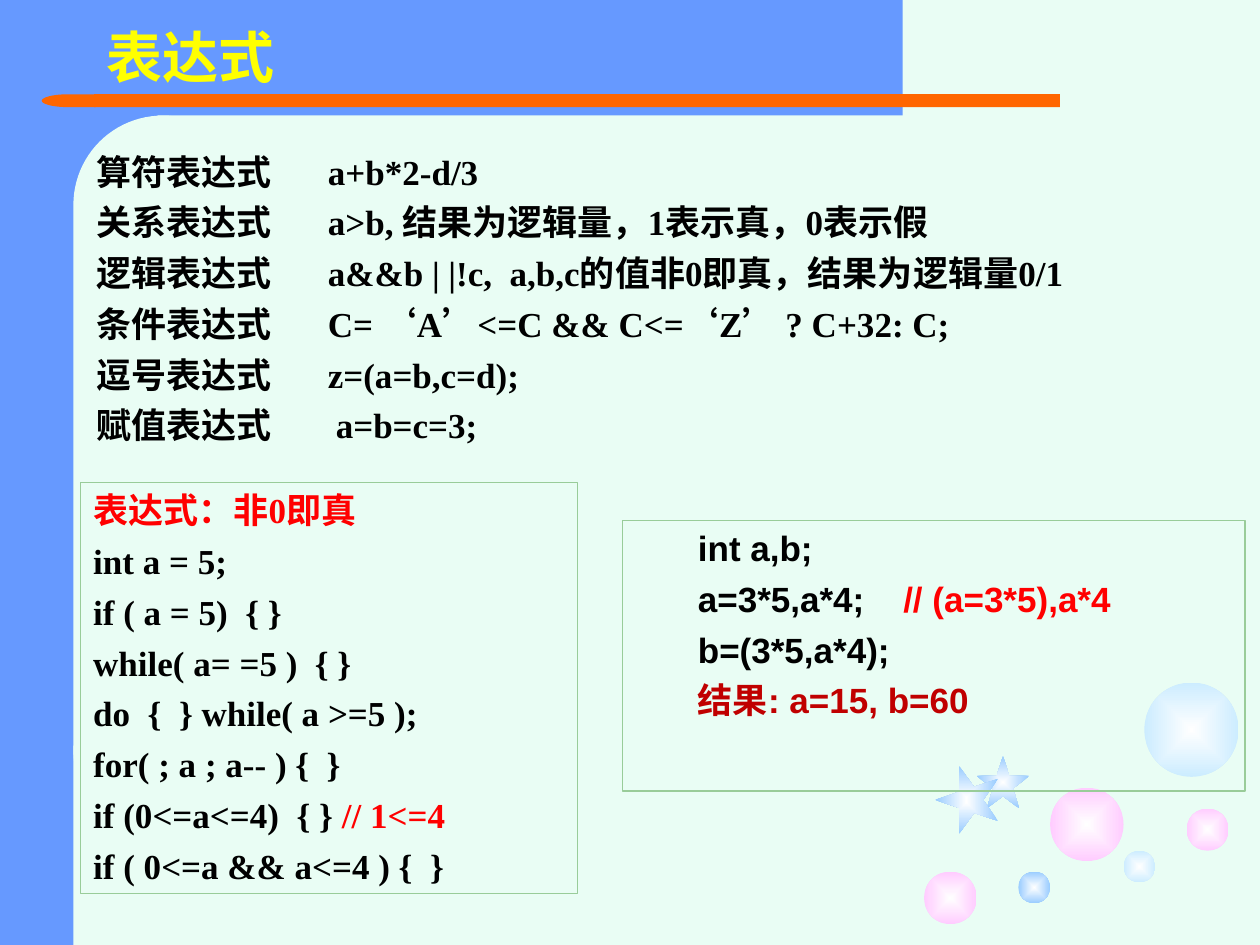
from dataclasses import dataclass

from lxml.etree import SubElement
from pptx import Presentation
from pptx.dml.color import RGBColor
from pptx.enum.shapes import MSO_SHAPE
from pptx.enum.text import MSO_ANCHOR, PP_ALIGN
from pptx.oxml.ns import qn
from pptx.util import Cm, Pt


@dataclass(frozen=True)
class Theme:
    mint: str = "E9FDF4"
    blue: str = "6699FF"
    orange: str = "FF6600"
    pink: str = "FFCCFF"
    pale: str = "CCECFF"
    sky: str = "99CCFF"
    white: str = "FFFFFF"
    frame: str = "99CC99"
    title: str = "FFFF00"
    ink: str = "000000"
    red: str = "FF0000"
    dark_red: str = "C00000"
    serif: str = "Times New Roman"
    sans: str = "Arial"
    title_size: int = 32
    body_size: int = 20
    paragraph_gap: int = 5
    frame_width: float = 0.75


def colour(value):
    return RGBColor.from_string(value)


class SlideBuilder:
    def __init__(self, page, theme):
        self.page = page
        self.theme = theme
        page.background.fill.solid()
        page.background.fill.fore_color.rgb = colour(theme.mint)

    def shape(self, kind, area, fill=None, rotation=0):
        shape = self.page.shapes.add_shape(kind, *map(Cm, area))
        shape.shadow.inherit = False
        shape.line.fill.background()
        shape.rotation = rotation
        if fill:
            shape.fill.solid()
            shape.fill.fore_color.rgb = colour(fill)
        else:
            shape.fill.background()
        return shape

    def glow(self, kind, area, edge, spread, rotation=0):
        shape = self.shape(kind, area, rotation=rotation)
        shape.fill.gradient()
        for stop, value in zip(shape.fill.gradient_stops, (self.theme.white, edge)):
            stop.color.rgb = colour(value)
        gradient = shape._element.spPr.find(qn("a:gradFill"))
        gradient.remove(gradient.find(qn("a:lin")))
        shading = SubElement(gradient, qn("a:path"), {"path": spread})
        SubElement(shading, qn("a:fillToRect"), dict.fromkeys("ltrb", "50000"))

    def text(self, area, lines, font, size, tab=None):
        box = self.page.shapes.add_textbox(*map(Cm, area))
        self.fill_text(box, lines, font, size, tab)

    def framed_text(self, area, lines, font, size, tab=None, inset=0.25):
        box = self.shape(MSO_SHAPE.RECTANGLE, area)
        box.line.color.rgb = colour(self.theme.frame)
        box.line.width = Pt(self.theme.frame_width)
        self.fill_text(box, lines, font, size, tab)
        box.text_frame.margin_left = Cm(inset)

    def fill_text(self, box, lines, font, size, tab):
        frame = box.text_frame
        frame.word_wrap = True
        frame.vertical_anchor = MSO_ANCHOR.TOP
        for index, spans in enumerate(lines):
            paragraph = frame.add_paragraph() if index else frame.paragraphs[0]
            paragraph.alignment = PP_ALIGN.LEFT
            if index:
                paragraph.space_before = Pt(self.theme.paragraph_gap)
            if tab:
                tabs = SubElement(paragraph._p.get_or_add_pPr(), qn("a:tabLst"))
                SubElement(tabs, qn("a:tab"), {"pos": str(Cm(tab)), "algn": "l"})
            for words, value in spans:
                span = paragraph.add_run()
                span.text = words
                span.font.name = font
                span.font.size = Pt(size)
                span.font.bold = True
                span.font.color.rgb = colour(value)


def draw_backdrop(builder):
    theme = builder.theme
    builder.shape(MSO_SHAPE.RECTANGLE, (0, 0, 3.18, 19.05), theme.blue)
    builder.shape(MSO_SHAPE.RECTANGLE, (1.27, 0, 16.93, 2.33), theme.blue)
    corner = builder.shape(MSO_SHAPE.ROUNDED_RECTANGLE, (1.48, 2.33, 3.6, 14.6), theme.mint)
    corner.adjustments[0] = 0.5
    builder.shape(MSO_SHAPE.RECTANGLE, (1.9, 1.9, 19.47, 0.26), theme.orange)
    builder.shape(MSO_SHAPE.FLOWCHART_DELAY, (0.84, 1.9, 1.09, 0.26), theme.orange, 180)
    builder.shape(MSO_SHAPE.RECTANGLE, (1.48, 15.03, 3.6, 4.02), theme.mint)

    bubbles = [
        (21.17, 15.88, 1.48, theme.pink),
        (18.63, 17.57, 1.06, theme.pink),
        (22.65, 17.15, 0.64, theme.pale),
        (23.92, 16.3, 0.85, theme.pink),
        (23.07, 13.76, 1.9, theme.pale),
        (20.53, 17.57, 0.64, theme.sky),
    ]
    for left, top, size, edge in bubbles:
        builder.glow(MSO_SHAPE.OVAL, (left, top, size, size), edge, "shape")
    stars = [((19.69, 15.24, 1.06, 1.06), 0), ((18.8, 15.49, 1.37, 1.27), 270)]
    for area, rotation in stars:
        builder.glow(MSO_SHAPE.STAR_5_POINT, area, theme.sky, "rect", rotation)


def draw_content(builder):
    theme = builder.theme
    truth_lines = [
        [("表达式：非0即真", theme.red)],
        [("int a = 5;", theme.ink)],
        [("if ( a = 5)  { }", theme.ink)],
        [("while( a= =5 )  { }", theme.ink)],
        [("do  {  } while( a >=5 );", theme.ink)],
        [("for( ; a ; a-- ) {  }", theme.ink)],
        [("if (0<=a<=4)  { } ", theme.ink), ("// 1<=4", theme.red)],
        [("if ( 0<=a && a<=4 ) {  }", theme.ink)],
    ]
    builder.framed_text((1.63, 9.73, 10.01, 8.28), truth_lines, theme.serif, theme.body_size)

    expressions = [
        ("算符表达式", "a+b*2-d/3"),
        ("关系表达式", "a>b, 结果为逻辑量，1表示真，0表示假"),
        ("逻辑表达式", "a&&b | |!c,  a,b,c的值非0即真，结果为逻辑量0/1"),
        ("条件表达式", "C= ‘A’<=C && C<=‘Z’ ? C+32: C;"),
        ("逗号表达式", "z=(a=b,c=d);"),
        ("赋值表达式", " a=b=c=3;"),
    ]
    expression_lines = [[(f"{name}\t{example}", theme.ink)] for name, example in expressions]
    builder.text((1.7, 2.9, 23.39, 6.25), expression_lines, theme.serif, theme.body_size, 4.66)

    builder.text((1.9, 0.33, 7.59, 1.63), [[("表达式", theme.title)]], theme.serif, theme.title_size)

    comma_lines = [
        [("int a,b;", theme.ink)],
        [("a=3*5,a*4;\t", theme.ink), ("// (a=3*5),a*4", theme.red)],
        [("b=(3*5,a*4);", theme.ink)],
        [("结果: a=15, b=60", theme.dark_red)],
    ]
    builder.framed_text(
        (12.55, 10.49, 12.55, 5.46), comma_lines, theme.sans, theme.body_size, 4.14, 1.52
    )


def main():
    deck = Presentation()
    deck.slide_width = Cm(25.4)
    deck.slide_height = Cm(19.05)
    page = deck.slides.add_slide(deck.slide_layouts[6])
    builder = SlideBuilder(page, Theme())
    draw_backdrop(builder)
    draw_content(builder)
    deck.save("out.pptx")


if __name__ == "__main__":
    main()
